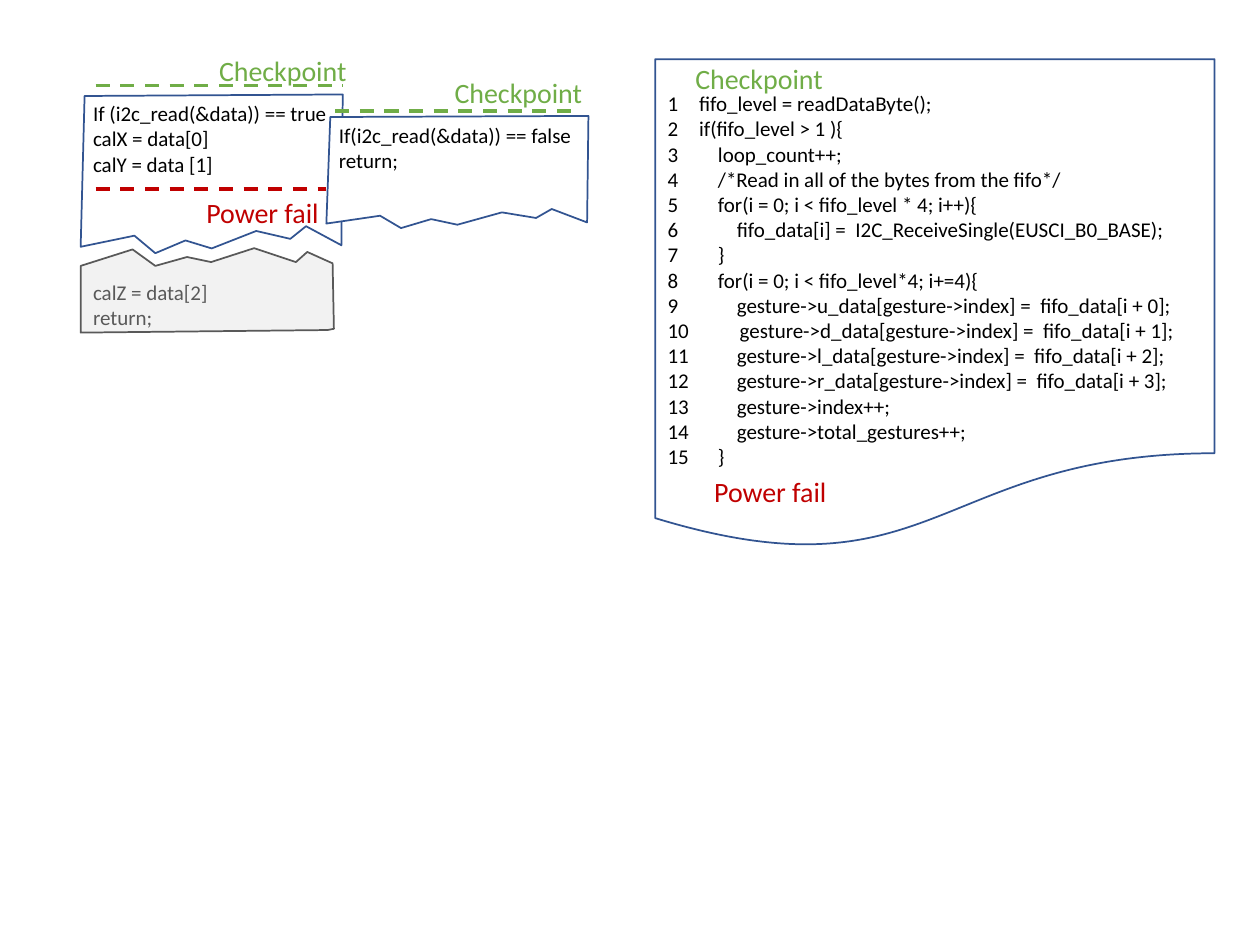
from collections import namedtuple
from lxml.etree import SubElement
from pptx import Presentation
from pptx.dml.color import RGBColor
from pptx.enum.dml import MSO_LINE
from pptx.enum.shapes import MSO_CONNECTOR, MSO_SHAPE
from pptx.enum.text import MSO_ANCHOR, PP_ALIGN
from pptx.oxml.ns import qn
from pptx.util import Inches, Pt

Box = namedtuple("Box", "left top width height")

COLUMN = ROW = Inches(0.1)
FONT = "Calibri"
BLACK, WHITE, BLUE = "000000", "FFFFFF", "325491"
GREEN, RED = "70AD47", "C00000"
GREY, PALE_GREY = "595959", "F2F2F2"

TORN_BOTTOM = [
    (0, 0.96), (0.015, 0.01), (1, 0), (0.995, 0.95), (0.86, 0.83), (0.8, 0.91),
    (0.67, 0.86), (0.5, 0.97), (0.4, 0.92), (0.285, 1), (0.205, 0.89),
]
TORN_TOP = [
    (0, 0.21), (0, 1), (0.975, 0.97), (1, 0.955), (0.995, 0.18), (0.895, 0.045),
    (0.85, 0.165), (0.685, 0), (0.515, 0.165), (0.42, 0.105), (0.295, 0.21), (0.205, 0.015),
]
FIFO_CODE = [
    (0, "fifo_level = readDataByte();"),
    (0, "if(fifo_level > 1 ){"),
    (1, "loop_count++;"),
    (1, "/*Read in all of the bytes from the fifo*/"),
    (1, "for(i = 0; i < fifo_level * 4; i++){"),
    (2, "fifo_data[i] =  I2C_ReceiveSingle(EUSCI_B0_BASE);"),
    (1, "}"),
    (1, "for(i = 0; i < fifo_level*4; i+=4){"),
    (2, "gesture->u_data[gesture->index] =  fifo_data[i + 0];"),
    (2.15, "gesture->d_data[gesture->index] =  fifo_data[i + 1];"),
    (2, "gesture->l_data[gesture->index] =  fifo_data[i + 2];"),
    (2, "gesture->r_data[gesture->index] =  fifo_data[i + 3];"),
    (2, "gesture->index++;"),
    (2, "gesture->total_gestures++;"),
    (1, "}"),
]


def color(value):
    return RGBColor.from_string(value)


def place(box):
    return (round(box.left * COLUMN), round(box.top * ROW),
            round(box.width * COLUMN), round(box.height * ROW))


def write(shape, lines, size, text_color, top_inset=0.05):
    frame = shape.text_frame
    frame.text = "\n".join(lines)
    frame.word_wrap = True
    frame.vertical_anchor = MSO_ANCHOR.TOP
    frame.margin_top = Inches(top_inset)
    frame.margin_right = 0
    for paragraph in frame.paragraphs:
        paragraph.alignment = PP_ALIGN.LEFT
        for run in paragraph.runs:
            run.font.size = Pt(size)
            run.font.name = FONT
            run.font.color.rgb = color(text_color)


def paint(shape, fill, line):
    shape.shadow.inherit = False
    if fill:
        shape.fill.solid()
        shape.fill.fore_color.rgb = color(fill)
    else:
        shape.fill.background()
    shape.line.color.rgb = color(line)
    shape.line.width = Pt(1)


def add_label(slide, box, column, row, text, text_color):
    label = slide.shapes.add_textbox(*place(Box(box.left + column, box.top + row, 13, 3.7)))
    write(label, [text], 16, text_color)


def add_dashes(slide, box, start, end, row, line_color):
    left, top, width, _ = place(Box(box.left + start, box.top + row, end - start, 0))
    dashes = slide.shapes.add_connector(MSO_CONNECTOR.STRAIGHT, left, top, left + width, top)
    dashes.line.color.rgb = color(line_color)
    dashes.line.width = Pt(2)
    dashes.line.dash_style = MSO_LINE.DASH
    SubElement(dashes._element.spPr, qn("a:effectLst"))


def add_torn_sheet(slide, box, outline, lines, fill, line, text_color, top_inset=0.05):
    left, top, width, height = place(box)
    points = [(left + x * width, top + y * height) for x, y in outline]
    builder = slide.shapes.build_freeform(*points[0])
    builder.add_line_segments(points[1:], close=True)
    sheet = builder.convert_to_shape()
    paint(sheet, fill, line)
    write(sheet, lines, 12, text_color, top_inset)


def add_true_branch(slide, box):
    lines = ["If (i2c_read(&data)) == true", "calX = data[0]", "calY = data [1]"]
    add_torn_sheet(slide, box, TORN_BOTTOM, lines, None, BLUE, BLACK)
    add_dashes(slide, box, 1.2, 20.8, -0.7, GREEN)
    add_label(slide, box, 10, -3.7, "Checkpoint", GREEN)
    add_dashes(slide, box, 1.2, 19.5, 7.5, RED)
    add_label(slide, box, 9, 7.5, "Power fail", RED)


def add_false_branch(slide, box):
    lines = ["If(i2c_read(&data)) == false", "return;"]
    add_torn_sheet(slide, box, TORN_BOTTOM, lines, WHITE, BLUE, BLACK)
    add_dashes(slide, box, 0.7, 20.2, -0.4, GREEN)
    add_label(slide, box, 9.2, -3.7, "Checkpoint", GREEN)


def add_lost_code(slide, box):
    lines = ["calZ = data[2]", "return;"]
    add_torn_sheet(slide, box, TORN_TOP, lines, PALE_GREY, GREY, GREY, 0.25)


def add_fifo_listing(slide, box):
    listing = slide.shapes.add_shape(MSO_SHAPE.FLOWCHART_DOCUMENT, *place(box))
    paint(listing, WHITE, BLUE)
    write(listing, [text for _, text in FIFO_CODE], 12, BLACK, 0.25)
    for (level, _), paragraph in zip(FIFO_CODE, listing.text_frame.paragraphs):
        indent = Inches(0.25 + 0.15 * level)
        properties = paragraph._p.get_or_add_pPr()
        properties.set("marL", str(indent))
        properties.set("indent", str(-indent))
        SubElement(properties, qn("a:buFont"), typeface=FONT)
        SubElement(properties, qn("a:buAutoNum"), type="arabicPlain")
    add_label(slide, box, 2.2, -0.3, "Checkpoint", GREEN)
    add_label(slide, box, 3.7, 32.5, "Power fail", RED)


presentation = Presentation()
presentation.slide_width = COLUMN * 100
presentation.slide_height = ROW * 75
slide = presentation.slides.add_slide(presentation.slide_layouts[6])
add_true_branch(slide, Box(6.4, 7.5, 20.8, 12.6))
add_false_branch(slide, Box(25.9, 9.2, 20.8, 8.9))
add_lost_code(slide, Box(6.4, 19.7, 20.1, 6.7))
add_fifo_listing(slide, Box(52, 4.7, 44.4, 39))
presentation.save("out.pptx")
